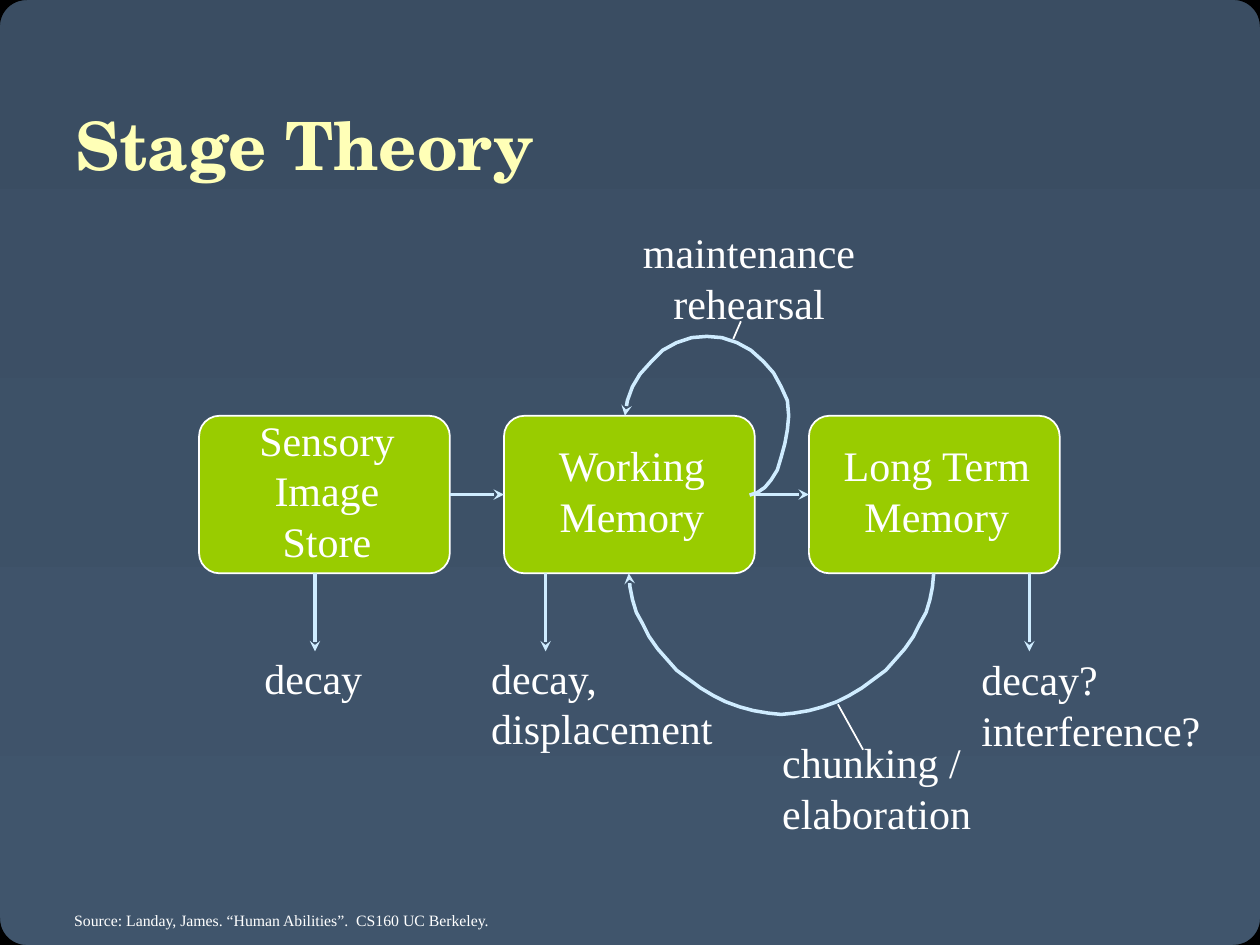
"""Build the Stage Theory slide: three memory stages with their flows."""
from lxml import etree
from pptx import Presentation
from pptx import util as u
from pptx.dml.color import RGBColor
from pptx.enum import shapes, text
from pptx.oxml.ns import qn

NIGHT = RGBColor(0x3A, 0x4D, 0x62)
SLATE = RGBColor(0x40, 0x55, 0x6C)
CREAM = RGBColor(0xFF, 0xFF, 0xB7)
GREEN = RGBColor(0x99, 0xCC, 0x00)
ICE = RGBColor(0xCF, 0xEC, 0xFF)
WHITE = RGBColor(0xFF, 0xFF, 0xFF)
BLACK = RGBColor(0, 0, 0)
SERIF = "Times New Roman"

WIDE, HIGH = 10, 7.5
LEFT, PITCH, TOP = 1.58, 2.42, 3.3
BOX_W, BOX_H = 1.99, 1.25
FOOT = TOP + BOX_H
EDGE, CURVE = 0.07, 0.56

TITLE = "Stage Theory"
STAGES = ["Sensory Image Store", "Working Memory", "Long Term Memory"]
LABELS = [
    ("decay", (2, 5.13, 0.98, 0.5), 24, False, False),
    ("decay,\ndisplacement", (3.8, 5.13, 1.96, 0.9), 24, False, False),
    ("chunking / elaboration", (6.11, 5.8, 1.91, 0.9), 24, False, True),
    ("decay?\ninterference?", (7.69, 5.14, 1.94, 0.9), 24, False, False),
    ("maintenance\nrehearsal", (5, 1.75, 1.89, 0.9), 24, True, False),
    ("Source: Landay, James. “Human Abilities”.  CS160 UC Berkeley.",
     (0.49, 7.18, 3.51, 0.25), 9, False, False),
]
DROPS = [2.5, 4.33, 8.17]
LEADS = [(6.65, 5.59, 6.85, 5.95), (5.82, 2.69, 5.88, 2.55)]
CHUNK_MID = 6.2
CHUNK = [
    (6.2, 5.67), (6.1, 5.66), (5.98, 5.64), (5.87, 5.61), (5.76, 5.57),
    (5.66, 5.52), (5.56, 5.46), (5.37, 5.32), (5.22, 5.15), (5.15, 5.05),
    (5.1, 4.95), (5.05, 4.86), (5.02, 4.76), (5, 4.66), (4.99, 4.55),
]
REHEARSE = [
    (5.95, 3.93), (6.01, 3.91), (6.07, 3.87), (6.12, 3.81), (6.17, 3.73),
    (6.2, 3.63), (6.23, 3.52), (6.25, 3.41), (6.26, 3.3), (6.25, 3.18),
    (6.2, 3.07), (6.14, 2.96), (6.06, 2.87), (5.96, 2.78), (5.85, 2.72),
    (5.73, 2.68), (5.61, 2.67), (5.49, 2.68), (5.37, 2.72), (5.26, 2.78),
    (5.17, 2.87), (5.08, 2.97), (5.02, 3.07), (4.98, 3.18), (4.96, 3.3),
]


def inch(*nums):
    return [u.Inches(n) for n in nums]


def stroke(item, color, width, arrow=False):
    item.line.color.rgb = color
    item.line.width = u.Pt(width)
    if arrow:
        tail = etree.SubElement(item.line._get_or_add_ln(), qn("a:tailEnd"))
        tail.set("type", "stealth")


def style(frame, size, color, align, name=SERIF, bold=False):
    for para in frame.paragraphs:
        para.alignment = align
        para.font.size = u.Pt(size)
        para.font.name = name
        para.font.bold = bold
        para.font.color.rgb = color


def link(slide, ends, color, width, arrow=False):
    line = slide.shapes.add_connector(shapes.MSO_CONNECTOR.STRAIGHT, *inch(*ends))
    stroke(line, color, width, arrow)
    etree.SubElement(line._element.spPr, qn("a:effectLst"))
    return line


def corner(slide, x, y, turn):
    arc = slide.shapes.add_shape(shapes.MSO_SHAPE.ARC, *inch(x, y, CURVE, CURVE))
    arc.rotation = turn
    arc.shadow.inherit = False
    arc.fill.background()
    stroke(arc, BLACK, 10)


def stage(slide, col, words):
    box = slide.shapes.add_shape(
        shapes.MSO_SHAPE.ROUNDED_RECTANGLE,
        *inch(LEFT + col * PITCH, TOP, BOX_W, BOX_H))
    box.adjustments[0] = 0.13
    box.shadow.inherit = False
    box.fill.solid()
    box.fill.fore_color.rgb = GREEN
    stroke(box, WHITE, 1)
    frame = box.text_frame
    frame.word_wrap = True
    frame.vertical_anchor = text.MSO_ANCHOR.MIDDLE
    frame.margin_left, frame.margin_right = inch(0.17, 0.13)
    frame.margin_top, frame.margin_bottom = inch(0.05, 0.12)
    frame.text = words
    style(frame, 24, WHITE, text.PP_ALIGN.CENTER)
    return box


def curve(slide, points):
    first, *rest = [inch(*point) for point in points]
    pen = slide.shapes.build_freeform(*first)
    pen.add_line_segments(rest, close=False)
    path = pen.convert_to_shape()
    path.shadow.inherit = False
    path.fill.background()
    stroke(path, ICE, 2, True)


def label(slide, words, place, size, mid, wrap):
    frame = slide.shapes.add_textbox(*inch(*place)).text_frame
    frame.word_wrap = wrap
    frame.auto_size = text.MSO_AUTO_SIZE.SHAPE_TO_FIT_TEXT
    frame.text = words
    style(frame, size, WHITE, text.PP_ALIGN.CENTER if mid else text.PP_ALIGN.LEFT)


def main():
    deck = Presentation()
    deck.slide_width, deck.slide_height = inch(WIDE, HIGH)
    slide = deck.slides.add_slide(deck.slide_layouts[5])

    fill = slide.background.fill
    fill.gradient()
    fill.gradient_angle = 270
    for stop, color in zip(fill.gradient_stops, (NIGHT, SLATE)):
        stop.color.rgb = color

    far, low = WIDE + EDGE - CURVE, HIGH + EDGE - CURVE
    for x, y, turn in [(far, -EDGE, 0), (-EDGE, -EDGE, 270),
                       (-EDGE, low, 180), (far, low, 90)]:
        corner(slide, x, y, turn)

    title = slide.shapes.title
    title.left, title.top, title.width, title.height = inch(0.5, 0.58, 9.17, 1.12)
    frame = title.text_frame
    frame.text = TITLE
    frame.auto_size = text.MSO_AUTO_SIZE.NONE
    frame.vertical_anchor = text.MSO_ANCHOR.MIDDLE
    style(frame, 38, CREAM, text.PP_ALIGN.LEFT, "TeX Gyre Schola", True)

    boxes = [stage(slide, col, words) for col, words in enumerate(STAGES)]
    for start, end in zip(boxes, boxes[1:]):
        flow = link(slide, (0, 0, 1, 1), ICE, 2, True)
        flow.begin_connect(start, 3)
        flow.end_connect(end, 1)
    for x in DROPS:
        link(slide, (x, FOOT, x, FOOT + 0.62), ICE, 2, True)

    right = [(2 * CHUNK_MID - x, y) for x, y in CHUNK[:0:-1]]
    curve(slide, right + CHUNK)
    curve(slide, REHEARSE)

    for item in LABELS:
        label(slide, *item)
    for ends in LEADS:
        link(slide, ends, WHITE, 1)
    deck.save("out.pptx")


if __name__ == "__main__":
    main()
